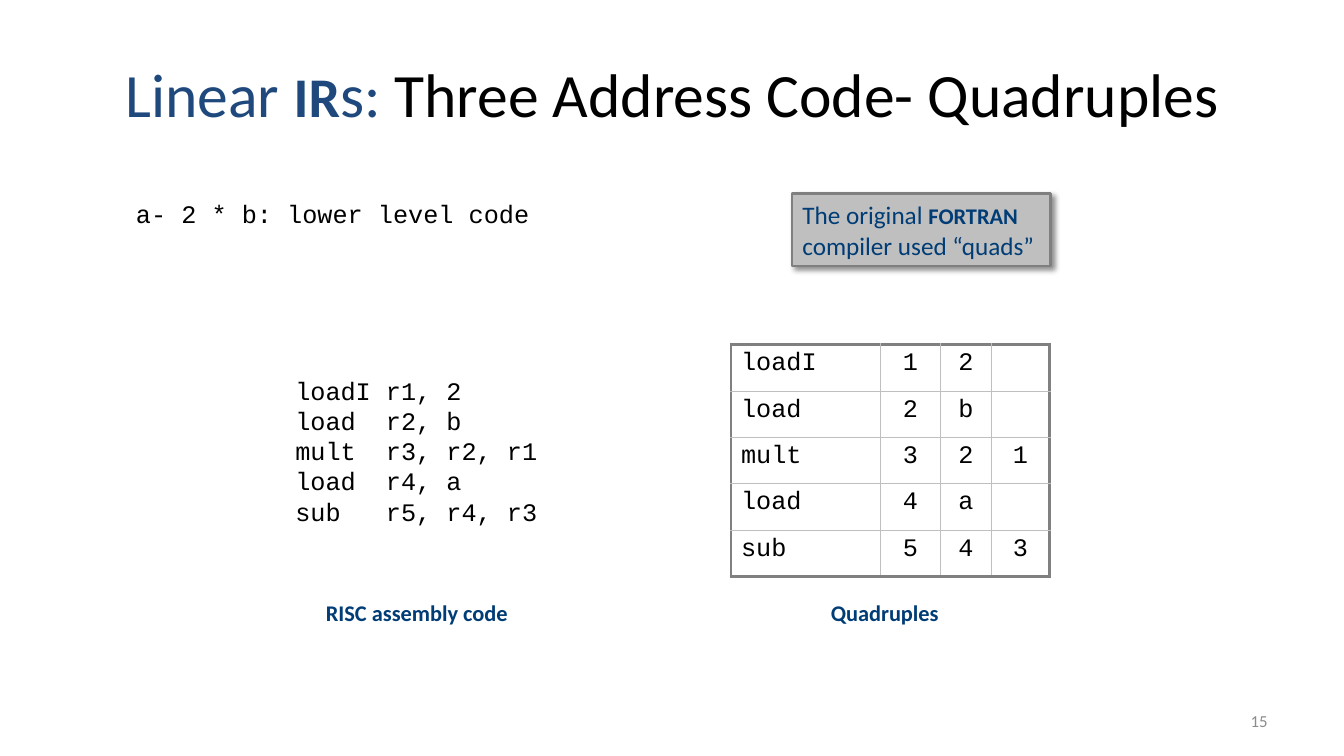
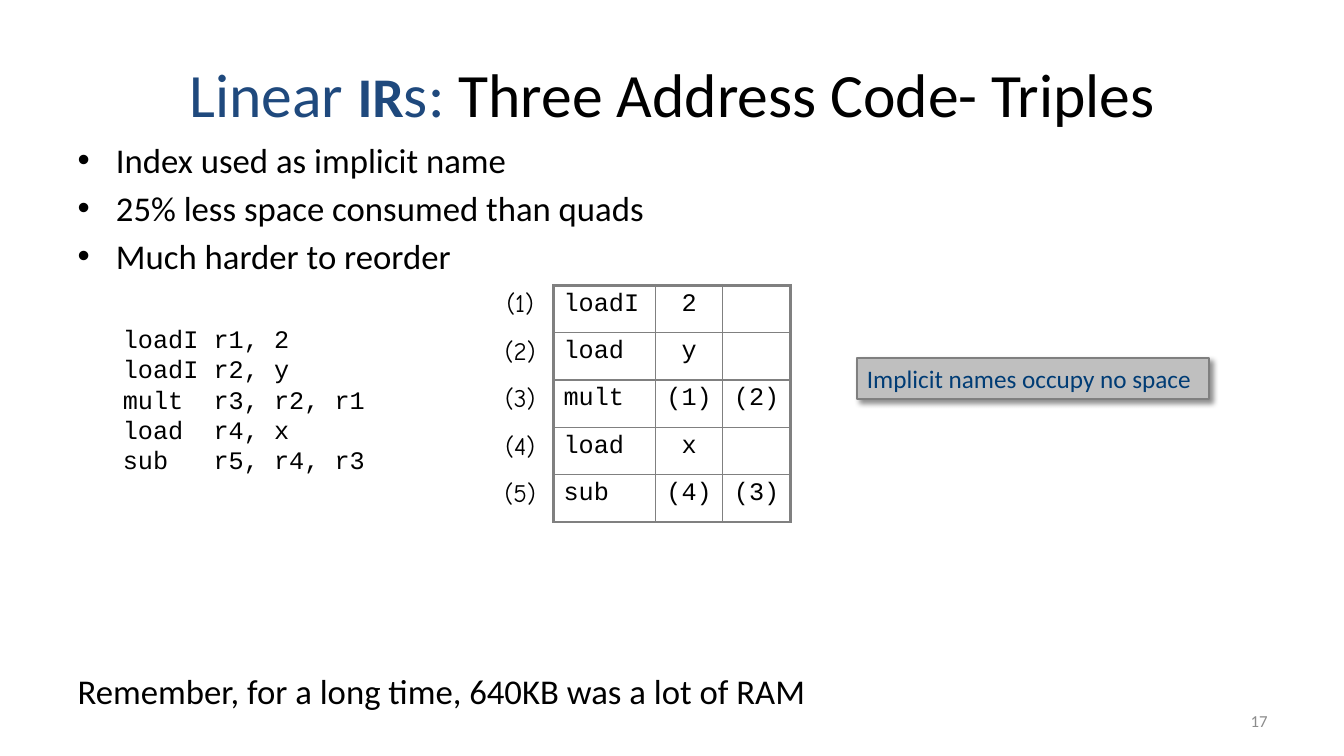
from lxml.etree import SubElement
from pptx import Presentation
from pptx.dml.color import RGBColor
from pptx.enum.shapes import MSO_SHAPE
from pptx.enum.text import MSO_ANCHOR, MSO_AUTO_SIZE, PP_ALIGN
from pptx.oxml import parse_xml
from pptx.oxml.ns import nsdecls, qn
from pptx.util import Inches, Pt

COLORS = {
    "ink": "000000",
    "title": "1F497D",
    "accent": "003C75",
    "note": "BFBFBF",
    "note_line": "7F7F7F",
    "frame": "808080",
    "grid": "BFBFBF",
    "number": "8C8C8C",
}

FORMATS = {
    "title": {"name": "Calibri", "size": Pt(44), "bold": False, "color": "ink"},
    "title_lead": {"name": "Calibri", "size": Pt(44), "bold": False, "color": "title"},
    "title_strong": {"name": "Calibri", "size": Pt(40), "bold": True, "color": "title"},
    "body": {"name": "Calibri", "size": Pt(24.8), "color": "ink"},
    "code": {"name": "Courier New", "size": Pt(18), "bold": False, "color": "ink"},
    "label": {"name": "Comic Neue", "size": Pt(18), "bold": False, "color": "ink"},
    "note": {"name": "Calibri", "size": Pt(18), "bold": False, "color": "accent"},
    "strong": {"name": "Calibri", "size": Pt(16), "bold": True, "color": "accent"},
    "number": {"name": "Calibri", "size": Pt(12), "color": "number"},
}

TITLE_AND_BODY = 1
TITLE_ONLY = 5


def rgb(name):
    return RGBColor.from_string(COLORS[name])


class SlideBuilder:
    """Hold the shared style and the current slide, and add one kind of element per method."""

    def __init__(self):
        self.deck = Presentation()
        self.deck.slide_width = Inches(13.33)
        self.deck.slide_height = Inches(7.5)
        self.page = None

    def start(self, layout, topic, number):
        self.page = self.deck.slides.add_slide(self.deck.slide_layouts[layout])
        title = self.page.shapes.title
        self.place(title, 0.67, 0.3, 12, 1.25)
        title.text_frame.vertical_anchor = MSO_ANCHOR.MIDDLE
        spans = [("Linear ", "title_lead"), ("IR", "title_strong"),
                 ("s: ", "title_lead"), (f"Three Address Code- {topic}", "title")]
        self.add_spans(title.text_frame.paragraphs[0], spans, PP_ALIGN.CENTER)
        box = self.text(9.56, 6.95, 3.11, 0.4, [str(number)], "number", PP_ALIGN.RIGHT, True)
        box.text_frame.vertical_anchor = MSO_ANCHOR.MIDDLE

    def place(self, shape, left, top, width, height):
        bounds = {"left": left, "top": top, "width": width, "height": height}
        for name, value in bounds.items():
            setattr(shape, name, Inches(value))
        shape.text_frame.auto_size = MSO_AUTO_SIZE.NONE

    def add_spans(self, para, spans, align=PP_ALIGN.LEFT):
        para.alignment = align
        for text, style in spans:
            span = para.add_run()
            span.text = text
            for name, value in FORMATS[style].items():
                if name == "color":
                    span.font.color.rgb = rgb(value)
                else:
                    setattr(span.font, name, value)

    def text(self, left, top, width, height, lines, style, align=PP_ALIGN.LEFT, wrap=False):
        box = self.page.shapes.add_textbox(*map(Inches, (left, top, width, height)))
        frame = box.text_frame
        frame.word_wrap = wrap
        for index, line in enumerate(lines):
            para = frame.add_paragraph() if index else frame.paragraphs[0]
            self.add_spans(para, [(line, style)], align)
        return box

    def body(self, bullets, closing):
        shape = self.page.placeholders[1]
        self.place(shape, 0.67, 1.33, 12, 5.82)
        frame = shape.text_frame
        for index, line in enumerate([*bullets, closing]):
            para = frame.add_paragraph() if index else frame.paragraphs[0]
            is_closing = index == len(bullets)
            para.space_before = Pt(281 if is_closing else 4.5 if index else 0)
            properties = para._p.get_or_add_pPr()
            properties.set("marL", str(Inches(0.38)))
            properties.set("indent", str(Inches(-0.38)))
            if is_closing:
                SubElement(properties, qn("a:buNone"))
            else:
                SubElement(properties, qn("a:buFont"), typeface="Arial")
                SubElement(properties, qn("a:buChar"), char="•")
            self.add_spans(para, [(line, "body")])

    def note(self, left, top, width, height, spans):
        box = self.page.shapes.add_shape(
            MSO_SHAPE.RECTANGLE, *map(Inches, (left, top, width, height)))
        box.fill.solid()
        box.fill.fore_color.rgb = rgb("note")
        box.line.color.rgb = rgb("note_line")
        box.line.width = Pt(1.5)
        box.shadow.inherit = False
        effects = box._element.spPr.find(qn("a:effectLst"))
        effects.append(parse_xml(
            f'<a:outerShdw {nsdecls("a")} blurRad="{Pt(4)}" dist="{Pt(3)}" dir="2700000" '
            'algn="tl" rotWithShape="0"><a:srgbClr val="000000"><a:alpha val="43000"/>'
            '</a:srgbClr></a:outerShdw>'))
        box.text_frame.word_wrap = True
        self.add_spans(box.text_frame.paragraphs[0], spans)

    def border(self, cell, sides):
        properties = cell._tc.get_or_add_tcPr()
        for index, (side, (color, width)) in enumerate(sides.items()):
            properties.insert(index, parse_xml(
                f'<a:ln{side} {nsdecls("a")} w="{Pt(width)}"><a:solidFill>'
                f'<a:srgbClr val="{COLORS[color]}"/></a:solidFill></a:ln{side}>'))

    def table(self, left, top, widths, row_height, rows, grid, label_columns=0):
        shape = self.page.shapes.add_table(
            len(rows), len(widths), Inches(left), Inches(top),
            Inches(sum(widths)), Inches(row_height * len(rows)))
        table = shape.table
        table.first_row = False
        table.horz_banding = False
        for column, width in zip(table.columns, widths):
            column.width = Inches(width)
        outer, inner = ("frame", 2.25), (grid, 1)
        last_row, last_column = len(rows) - 1, len(widths) - 1
        for row, values in enumerate(rows):
            table.rows[row].height = Inches(row_height)
            for column, value in enumerate(values):
                cell = table.cell(row, column)
                cell.fill.background()
                is_label = column < label_columns
                align = PP_ALIGN.LEFT if column == label_columns else PP_ALIGN.CENTER
                if value:
                    style = "label" if is_label else "code"
                    self.add_spans(cell.text_frame.paragraphs[0], [(value, style)], align)
                if is_label:
                    self.border(cell, {"R": outer})
                    continue
                edges = {"L": column == label_columns, "R": column == last_column,
                         "T": row == 0, "B": row == last_row}
                self.border(cell, {side: outer if edge else inner
                                   for side, edge in edges.items()})


def add_quadruples(builder):
    builder.start(TITLE_ONLY, "Quadruples", 15)
    quadruples = [
        ("loadI", "1", "2", ""),
        ("load", "2", "b", ""),
        ("mult", "3", "2", "1"),
        ("load", "4", "a", ""),
        ("sub", "5", "4", "3"),
    ]
    builder.table(7.25, 3.42, [1.48, 0.6, 0.5, 0.58], 0.46, quadruples, "grid")
    assembly = ["loadI r1, 2", "load  r2, b", "mult  r3, r2, r1",
                "load  r4, a", "sub   r5, r4, r3"]
    builder.text(2.83, 3.67, 2.61, 1.62, assembly, "code")
    for left, width, caption in [(3.12, 2.03, "RISC assembly code"), (8.13, 1.29, "Quadruples")]:
        builder.text(left, 5.89, width, 0.37, [caption], "strong", PP_ALIGN.CENTER)
    builder.note(7.86, 1.92, 2.56, 0.72, [
        ("The original ", "note"), ("FORTRAN", "strong"), (" compiler used “quads”", "note")])
    builder.text(1.25, 1.92, 4.12, 0.4, ["a- 2 * b: lower level code"], "code")


def add_triples(builder):
    builder.start(TITLE_AND_BODY, "Triples", 17)
    builder.body(
        ["Index used as implicit name", "25% less space consumed than quads",
         "Much harder to reorder"],
        "Remember, for a long time, 640KB was a lot of RAM")
    triples = [
        ("loadI", "2", ""),
        ("load", "y", ""),
        ("mult", "(1)", "(2)"),
        ("load", "x", ""),
        ("sub", "(4)", "(3)"),
    ]
    rows = [(f"({index})", *triple) for index, triple in enumerate(triples, 1)]
    builder.table(4.83, 2.83, [0.66, 1.01, 0.67, 0.67], 0.47, rows, "frame", label_columns=1)
    builder.note(8.5, 3.55, 3.49, 0.41, [("Implicit names occupy no space", "note")])
    assembly = ["loadI r1, 2", "loadI r2, y", "mult  r3, r2, r1",
                "load  r4, x", "sub   r5, r4, r3"]
    builder.text(1.12, 3.16, 2.6, 1.6, assembly, "code")


def main():
    builder = SlideBuilder()
    add_quadruples(builder)
    add_triples(builder)
    builder.deck.save("out.pptx")


if __name__ == "__main__":
    main()
